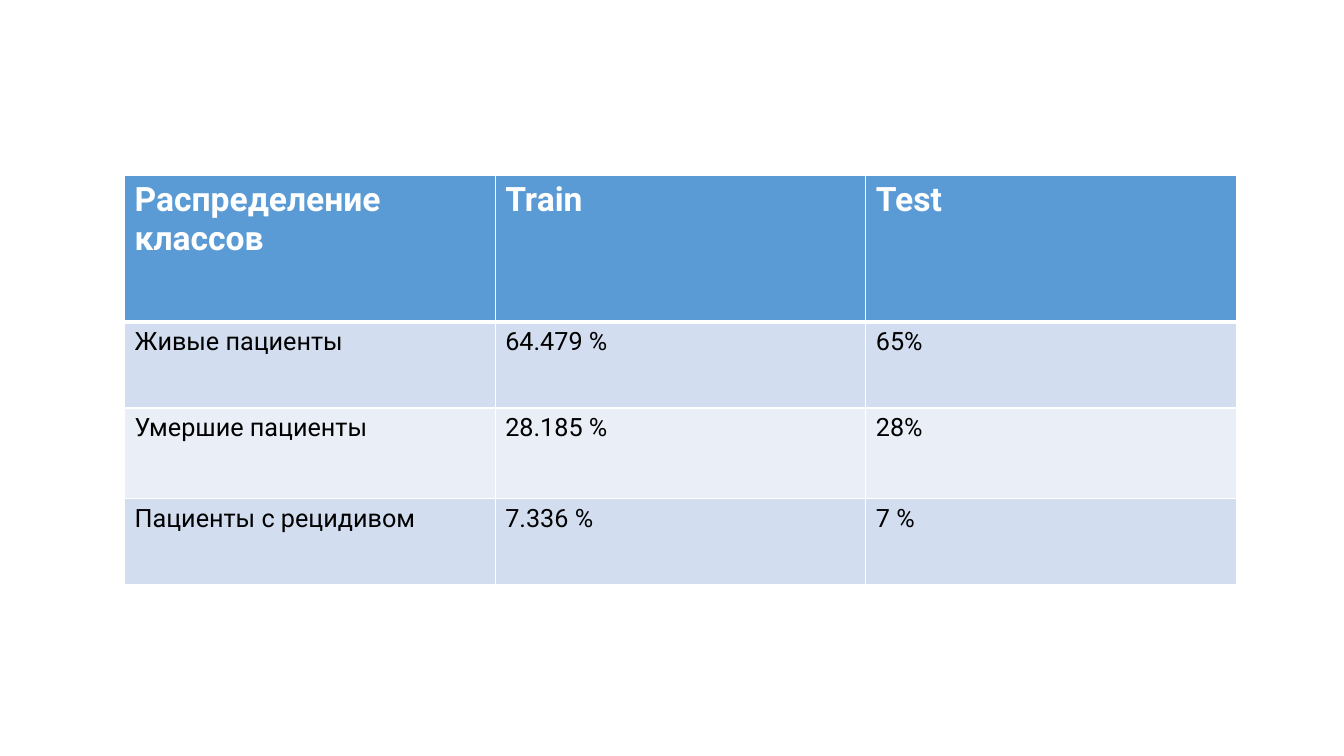
import pptx
import pptx.dml.color
import pptx.oxml
import pptx.oxml.ns
import pptx.util
from pptx.util import Cm

HEAD = "5B9BD5"
BANDS = ("D2DEEF", "EAEFF7")
WHITE = "FFFFFF"
BLACK = "000000"


def color(code):
    return pptx.dml.color.RGBColor.from_string(code)


class Deck:
    font = "Roboto"

    def __init__(self, width, height):
        self.prs = pptx.Presentation()
        self.prs.slide_width = width
        self.prs.slide_height = height
        self.slide = self.prs.slides.add_slide(self.prs.slide_layouts[6])

    def border(self, cell, side, width):
        props = cell._tc.get_or_add_tcPr()
        props.append(pptx.oxml.parse_xml(
            f'<a:{side} {pptx.oxml.ns.nsdecls("a")} w="{pptx.util.Pt(width)}">'
            f'<a:solidFill><a:srgbClr val="{WHITE}"/></a:solidFill></a:{side}>'))

    def cell(self, cell, text, fill, ink, size, bold, top, bottom):
        widths = {"lnL": 1, "lnR": 1, "lnT": top, "lnB": bottom}
        for side, width in widths.items():
            self.border(cell, side, width)
        cell.fill.solid()
        cell.fill.fore_color.rgb = color(fill)
        cell.text_frame.text = text
        font = cell.text_frame.paragraphs[0].runs[0].font
        font.name = self.font
        font.size = pptx.util.Pt(size)
        font.bold = bold
        font.color.rgb = color(ink)

    def table(self, left, top, width, heights, rows):
        count = len(rows[0])
        frame = self.slide.shapes.add_table(
            len(rows), count, left, top, width * count, sum(heights))
        grid = frame.table
        for col in grid.columns:
            col.width = width
        for r, (height, texts) in enumerate(zip(heights, rows)):
            grid.rows[r].height = height
            if r == 0:
                style = (HEAD, WHITE, 24, True, 1, 3)
            else:
                # Bands alternate; the first one meets the thick header rule
                style = (BANDS[(r - 1) % 2], BLACK, 18, False, 3 if r == 1 else 1, 1)
            for c, text in enumerate(texts):
                self.cell(grid.cell(r, c), text, *style)


def main():
    deck = Deck(Cm(33.87), Cm(19.05))

    # Class shares in the train and test sets
    deck.table(
        Cm(3.14), Cm(4.41), Cm(9.34),
        [Cm(3.71), Cm(2.16), Cm(2.29), Cm(2.16)],
        [
            ("Распределение классов", "Train", "Test"),
            ("Живые пациенты", "64.479 %", "65%"),
            ("Умершие пациенты", "28.185 %", "28%"),
            ("Пациенты с рецидивом", "7.336 %", "7 %"),
        ])

    deck.prs.save("out.pptx")


if __name__ == "__main__":
    main()
